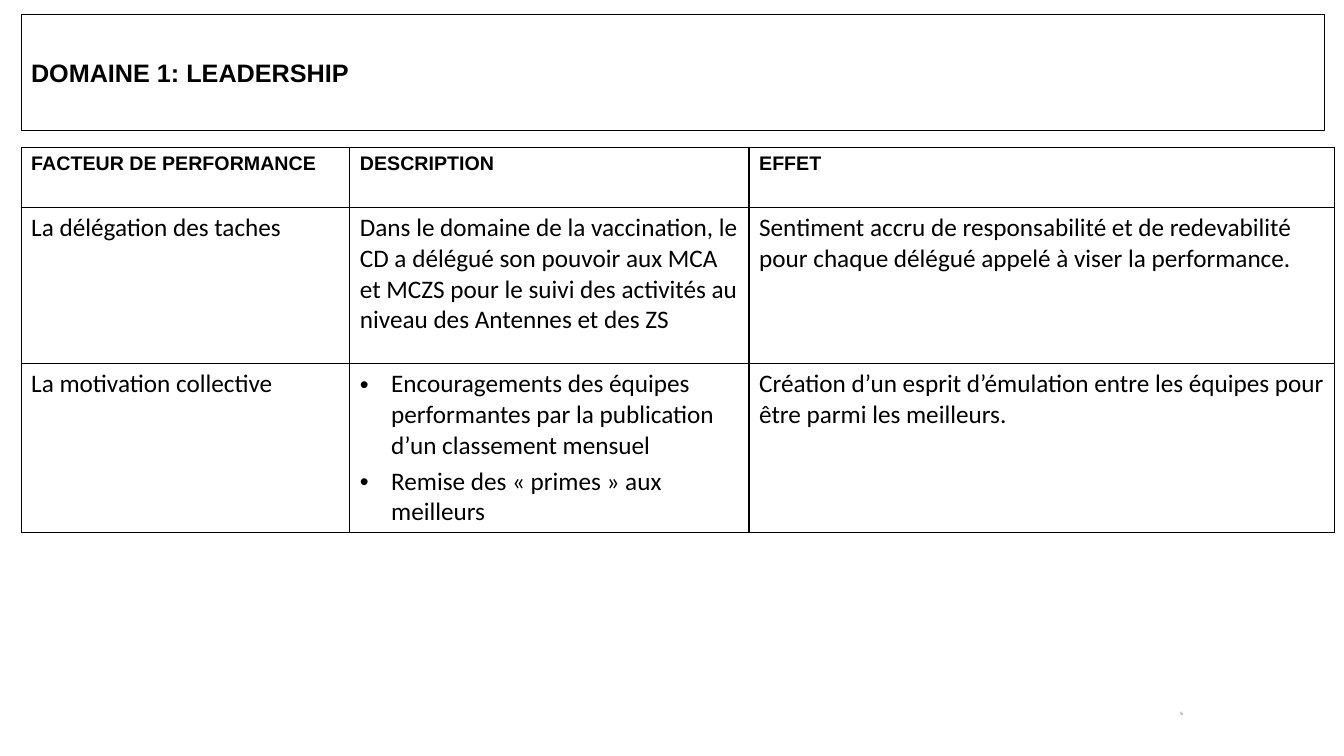
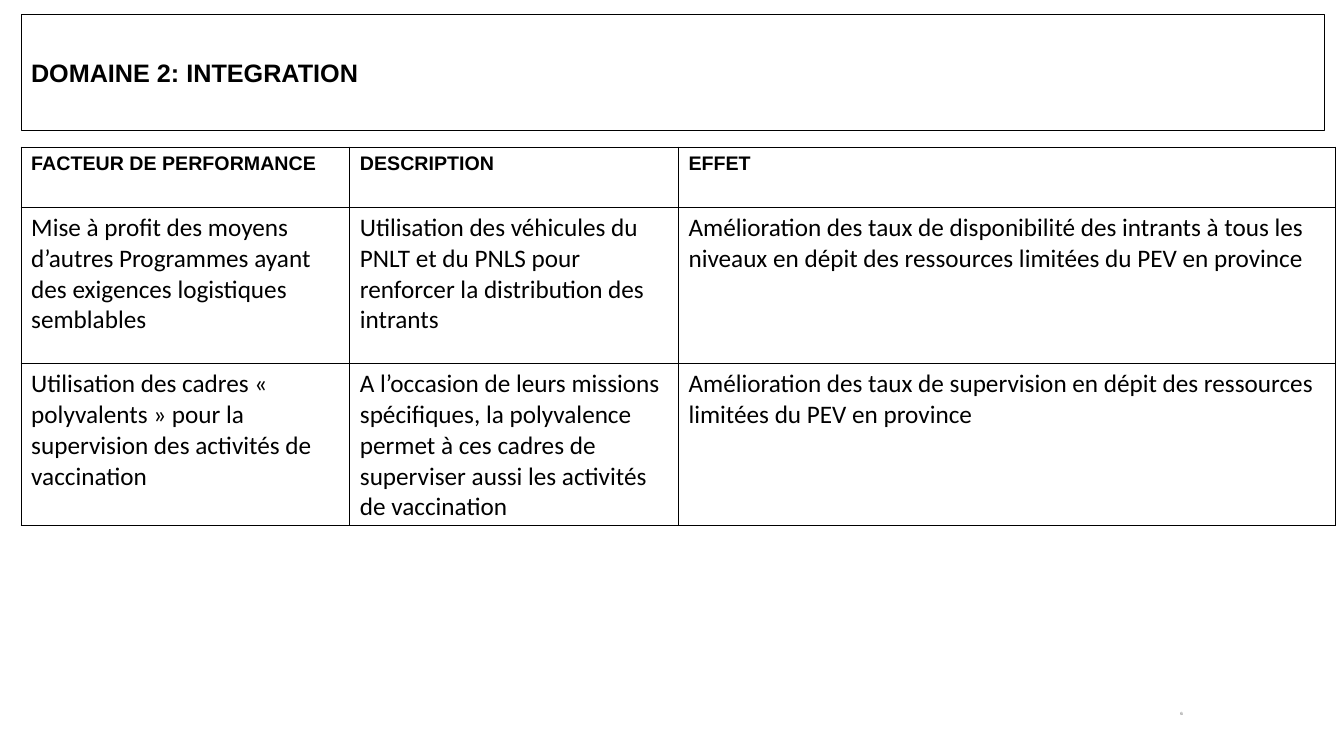
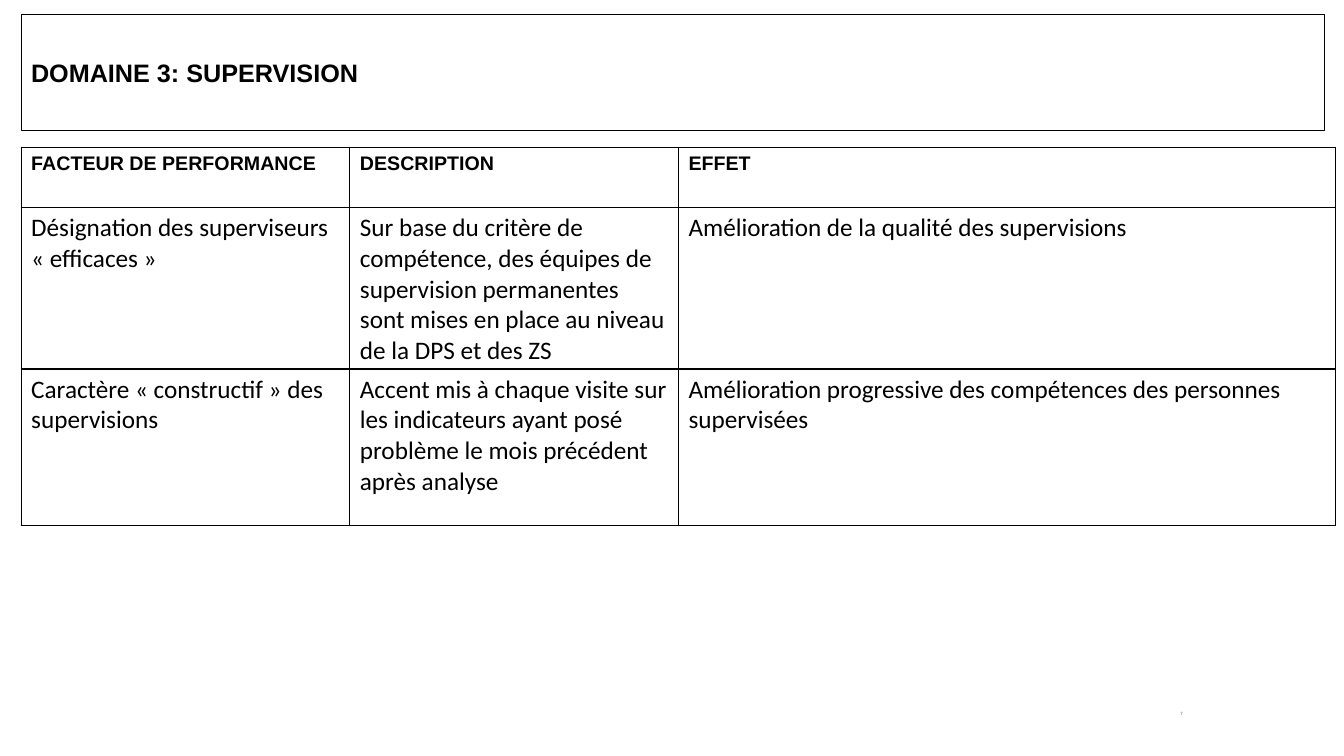
from dataclasses import dataclass

from lxml import etree
from pptx import Presentation
from pptx.dml.color import RGBColor
from pptx.enum.shapes import MSO_SHAPE
from pptx.enum.text import MSO_ANCHOR, PP_ALIGN
from pptx.oxml.ns import qn
from pptx.slide import Slide
from pptx.table import _Cell
from pptx.text.text import TextFrame, _Paragraph
from pptx.util import Pt

PX = 9144  # 100 px to the inch
RECT = MSO_SHAPE.RECTANGLE
MIDDLE, TOP = MSO_ANCHOR.MIDDLE, MSO_ANCHOR.TOP
LEFT, CENTER = PP_ALIGN.LEFT, PP_ALIGN.CENTER

COLORS = {"ink": "000000", "paper": "FFFFFF", "grey": "595959"}
FONTS = {
    "title": {"name": "Arial", "size": Pt(18), "bold": True},
    "head": {"name": "Arial", "size": Pt(14), "bold": True},
    "body": {"name": "Calibri", "size": Pt(18), "bold": False},
    "page": {"name": "Arial", "size": Pt(3.2), "bold": False},
}
HEADS = ("FACTEUR DE PERFORMANCE", "DESCRIPTION", "EFFET")
ROWS = (60, 155, 155)
WIDE = (326, 326, 652)
INDENT = 31


@dataclass(frozen=True)
class Box:
    left: int
    top: int
    width: int
    height: int

    def emu(self) -> tuple[int, ...]:
        return tuple(n * PX for n in (self.left, self.top, self.width, self.height))


@dataclass(frozen=True)
class Domain:
    """One slide; a cell given as a tuple is a bullet list."""
    title: str
    page: str
    rows: tuple[tuple[str | tuple[str, ...], ...], ...]
    cols: tuple[int, ...] = WIDE


TITLE = Box(21, 14, 1293, 116)
PAGE = Box(1133, 700, 78, 17)
GRID_LEFT, GRID_TOP = 21, 146

DOMAINS = (
    Domain("DOMAINE 1: LEADERSHIP", "5", (
        ("La délégation des taches",
         "Dans le domaine de la vaccination, le CD a délégué son pouvoir aux MCA "
         "et MCZS pour le suivi des activités au niveau des Antennes et des ZS",
         "Sentiment accru de responsabilité et de redevabilité pour chaque "
         "délégué appelé à viser la performance."),
        ("La motivation collective",
         ("Encouragements des équipes performantes par la publication "
          "d’un classement mensuel",
          "Remise des « primes » aux meilleurs"),
         "Création d’un esprit d’émulation entre les équipes pour être parmi "
         "les meilleurs."),
    ), (326, 396, 581)),
    Domain("DOMAINE 2: INTEGRATION", "6", (
        ("Mise à profit des moyens d’autres Programmes ayant des exigences "
         "logistiques semblables",
         "Utilisation des véhicules du PNLT et du PNLS pour renforcer la "
         "distribution des intrants",
         "Amélioration des taux de disponibilité des intrants à tous les niveaux "
         "en dépit des ressources limitées du PEV en province"),
        ("Utilisation des cadres « polyvalents » pour la supervision des "
         "activités de vaccination",
         "A l’occasion de leurs missions spécifiques, la polyvalence permet à "
         "ces cadres de superviser aussi les activités de vaccination",
         "Amélioration des taux de supervision en dépit des ressources limitées "
         "du PEV en province"),
    )),
    Domain("DOMAINE 3: SUPERVISION", "7", (
        ("Désignation des superviseurs « efficaces »",
         "Sur base du critère de compétence, des équipes de supervision "
         "permanentes sont mises en place au niveau de la DPS et des ZS",
         "Amélioration de la qualité des supervisions"),
        ("Caractère « constructif » des supervisions",
         "Accent mis à chaque visite sur les indicateurs ayant posé problème le "
         "mois précédent après analyse",
         "Amélioration progressive des compétences des personnes supervisées"),
    )),
)


def color(name: str) -> RGBColor:
    return RGBColor.from_string(COLORS[name])


def style(para: _Paragraph, look: str, ink: str = "ink") -> None:
    for key, value in FONTS[look].items():
        setattr(para.font, key, value)
    para.font.color.rgb = color(ink)


def bullet(para: _Paragraph) -> None:
    props = para._p.get_or_add_pPr()
    props.set("marL", str(INDENT * PX))
    props.set("indent", str(-INDENT * PX))
    etree.SubElement(props, qn("a:buFont")).set("typeface", "Arial")
    etree.SubElement(props, qn("a:buChar")).set("char", "•")


def write(frame: TextFrame, text: str | tuple[str, ...], look: str) -> None:
    items = (text,) if isinstance(text, str) else text
    for i, item in enumerate(items):
        para = frame.add_paragraph() if i else frame.paragraphs[0]
        para.text = item
        para.alignment = LEFT
        if i:
            para.space_before = Pt(3.6)
        if items is text:
            bullet(para)
        style(para, look)


def border(cell: _Cell) -> None:
    props = cell._tc.get_or_add_tcPr()
    for side in ("lnL", "lnR", "lnT", "lnB"):
        line = etree.SubElement(props, qn(f"a:{side}"), w=str(Pt(1)))
        fill = etree.SubElement(line, qn("a:solidFill"))
        etree.SubElement(fill, qn("a:srgbClr"), val=COLORS["ink"])


def add_title(slide: Slide, text: str) -> None:
    shape = slide.shapes.add_shape(RECT, *TITLE.emu())
    shape.shadow.inherit = False
    shape.fill.background()
    shape.line.color.rgb = color("ink")
    shape.line.width = Pt(0.75)
    shape.text_frame.vertical_anchor = MIDDLE
    write(shape.text_frame, text, "title")


def add_grid(slide: Slide, domain: Domain) -> None:
    box = Box(GRID_LEFT, GRID_TOP, sum(domain.cols), sum(ROWS))
    rows = (HEADS, *domain.rows)
    table = slide.shapes.add_table(len(rows), len(HEADS), *box.emu()).table
    table.first_row = table.horz_banding = False
    for col, width in zip(table.columns, domain.cols):
        col.width = width * PX
    for r, (row, height) in enumerate(zip(rows, ROWS)):
        table.rows[r].height = height * PX
        for c, text in enumerate(row):
            cell = table.cell(r, c)
            cell.vertical_anchor = TOP
            border(cell)
            if r:
                cell.fill.solid()
                cell.fill.fore_color.rgb = color("paper")
            else:
                cell.fill.background()
            write(cell.text_frame, text, "body" if r else "head")


def add_page(slide: Slide, text: str) -> None:
    frame = slide.shapes.add_textbox(*PAGE.emu()).text_frame
    form = {"word_wrap": True, "vertical_anchor": MIDDLE,
            "margin_left": 13 * PX, "margin_right": 13 * PX,
            "margin_top": 7 * PX, "margin_bottom": 7 * PX}
    for key, value in form.items():
        setattr(frame, key, value)
    para = frame.paragraphs[0]
    para.text = text
    para.alignment = CENTER
    para.line_spacing = 0.8
    style(para, "page", "grey")


def main() -> None:
    deck = Presentation()
    deck.slide_width, deck.slide_height = 1333 * PX, 750 * PX
    for domain in DOMAINS:
        slide = deck.slides.add_slide(deck.slide_layouts[6])
        add_title(slide, domain.title)
        add_grid(slide, domain)
        add_page(slide, domain.page)
    deck.save("out.pptx")


if __name__ == "__main__":
    main()
